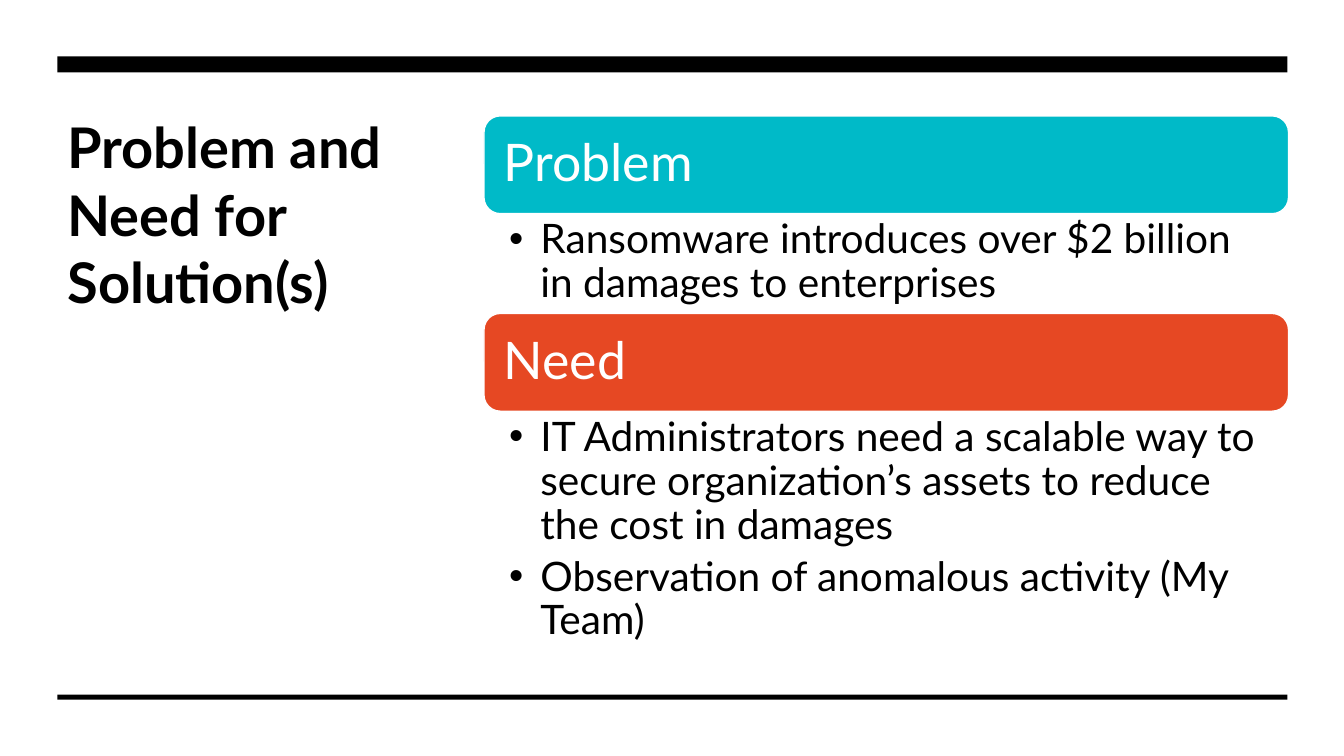
import pptx
import pptx.util
import pptx.dml.color
import pptx.enum.shapes
import pptx.enum.text
import pptx.oxml
import pptx.oxml.ns

Inches, Pt = pptx.util.Inches, pptx.util.Pt
SHAPES = pptx.enum.shapes.MSO_SHAPE
ANCHOR = pptx.enum.text.MSO_ANCHOR
ALIGN = pptx.enum.text.PP_ALIGN

COLORS = {"black": "000000", "white": "FFFFFF", "teal": "00BAC8", "red": "E64823"}


class Deck:
    """Holds the style and the current slide."""
    font = "Lato"

    def __init__(self, show, layout):
        self.slide = show.slides.add_slide(show.slide_layouts[layout])
        fill = self.slide.background.fill
        fill.solid()
        fill.fore_color.rgb = self.color("white")

    def color(self, name):
        return pptx.dml.color.RGBColor.from_string(COLORS[name])

    def place(self, shape, left, top, width, height):
        shape.left, shape.top = Inches(left), Inches(top)
        shape.width, shape.height = Inches(width), Inches(height)

    def frame(self, shape, anchor, sides, ends):
        frame = shape.text_frame
        frame.word_wrap = True
        frame.auto_size = pptx.enum.text.MSO_AUTO_SIZE.NONE
        frame.vertical_anchor = anchor
        frame.margin_left, frame.margin_right = map(Inches, sides)
        frame.margin_top = frame.margin_bottom = Inches(ends)
        return frame

    def text(self, para, words, size, color, bold=False, line=1.0, after=0):
        para.alignment = ALIGN.LEFT
        para.line_spacing = line
        para.space_before, para.space_after = Pt(0), Pt(after)
        run = para.add_run()
        run.text = words
        run.font.name, run.font.size, run.font.bold = self.font, Pt(size), bold
        run.font.color.rgb = self.color(color)

    def title(self, words, *box):
        shape = self.slide.shapes.title
        self.place(shape, *box)
        frame = self.frame(shape, ANCHOR.TOP, (0.1, 0.1), 0.05)
        self.text(frame.paragraphs[0], words, 40, "black", bold=True)

    def block(self, kind, color, *box):
        shape = self.slide.shapes.add_shape(kind, *map(Inches, box))
        shape.shadow.inherit = False
        shape.fill.solid()
        shape.fill.fore_color.rgb = self.color(color)
        shape.line.fill.background()
        return shape

    def head(self, words, color, *box):
        shape = self.block(SHAPES.ROUNDED_RECTANGLE, color, *box)
        shape.line.color.rgb = self.color("white")
        shape.line.width = Pt(1)
        frame = self.frame(shape, ANCHOR.MIDDLE, (0.15, 0.15), 0.15)
        self.text(frame.paragraphs[0], words, 37, "white", line=0.9)

    def list(self, index, items, *box):
        shape = self.slide.placeholders[index]
        self.place(shape, *box)
        frame = self.frame(shape, ANCHOR.TOP, (0.25, 0.29), 0.05)
        for i, item in enumerate(items):
            para = frame.add_paragraph() if i else frame.paragraphs[0]
            para.level = 1
            props = para._p.get_or_add_pPr()
            props.set("marL", str(Inches(0.31)))
            props.set("indent", str(-Inches(0.31)))
            mark = pptx.oxml.parse_xml(
                f'<a:buChar {pptx.oxml.ns.nsdecls("a")} char="•"/>')
            props.append(mark)
            self.text(para, item, 29, "black", line=0.9, after=5.8)


def main():
    show = pptx.Presentation()
    show.slide_width, show.slide_height = Inches(13.33), Inches(7.5)
    deck = Deck(show, 3)

    # Title and rules
    deck.title("Problem and Need for Solution(s)", 0.57, 1.07, 3.45, 4.45)
    for top, height in ((0.56, 0.16), (6.89, 0.05)):
        deck.block(SHAPES.RECTANGLE, "black", 0.57, top, 12.2, height)

    # Headings, each with its list below
    parts = [
        ("Problem", "teal", 0.99,
         ["Ransomware introduces over $2 billion in damages to enterprises"]),
        ("Need", "red", 2.39,
         ["IT Administrators need a scalable way to secure organization’s "
          "assets to reduce the cost in damages",
          "Observation of anomalous activity (My Team)"]),
    ]
    left, top, width, bar = 4.8, 1.15, 7.98, 0.97
    for index, (name, color, height, items) in enumerate(parts, 1):
        deck.head(name, color, left, top, width, bar)
        deck.list(index, items, left, top + bar, width, height)
        top += bar + height

    show.save("out.pptx")


if __name__ == "__main__":
    main()
